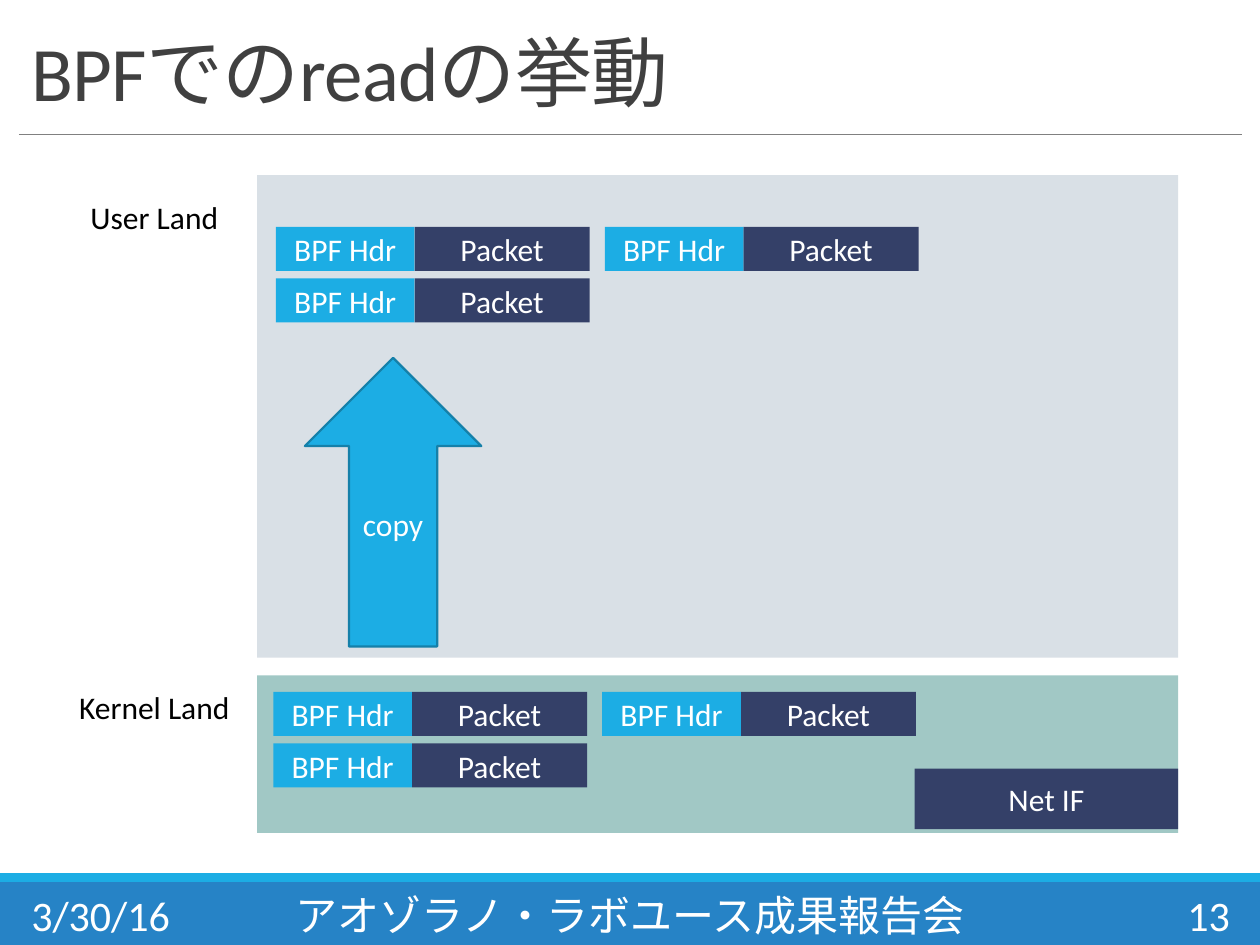
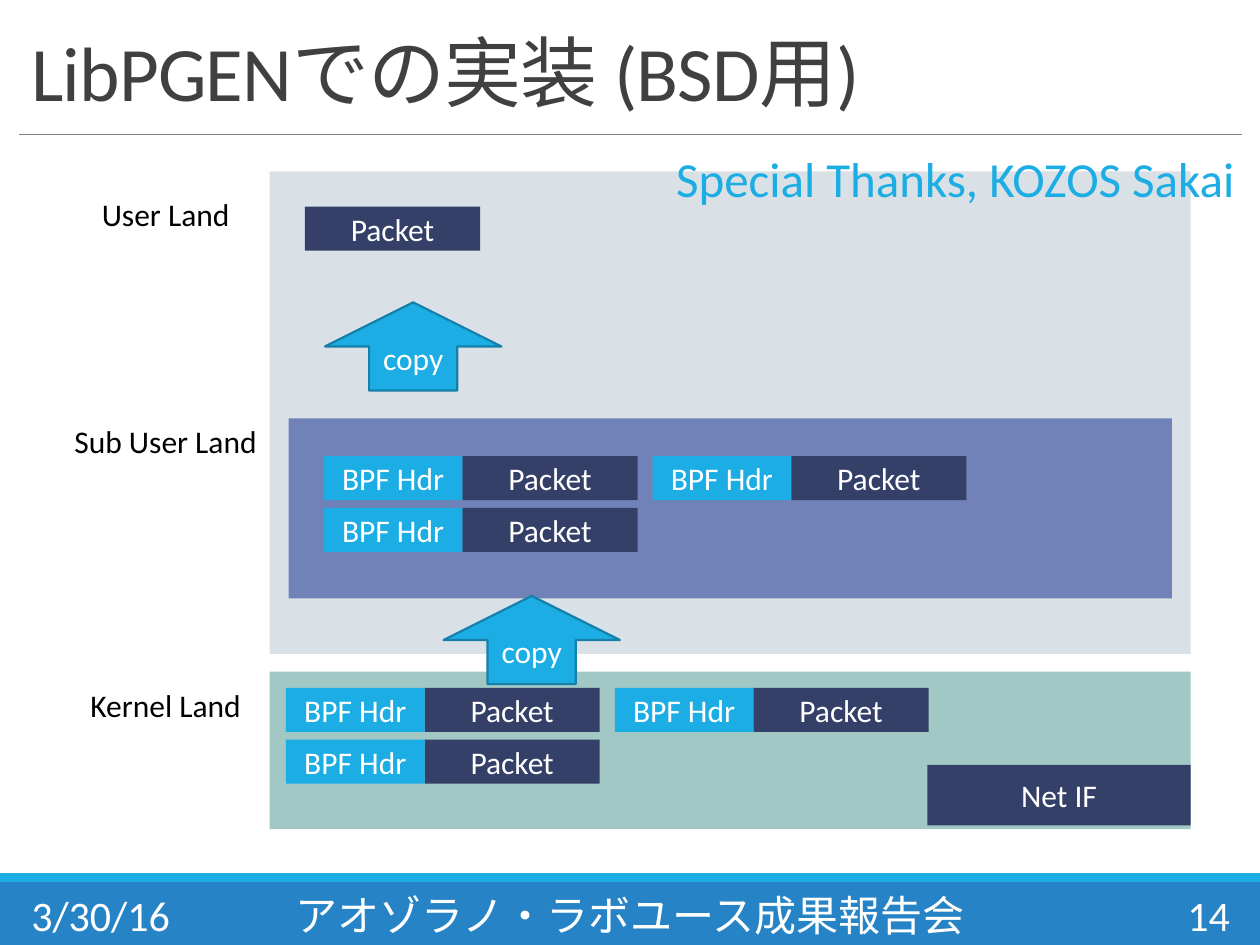
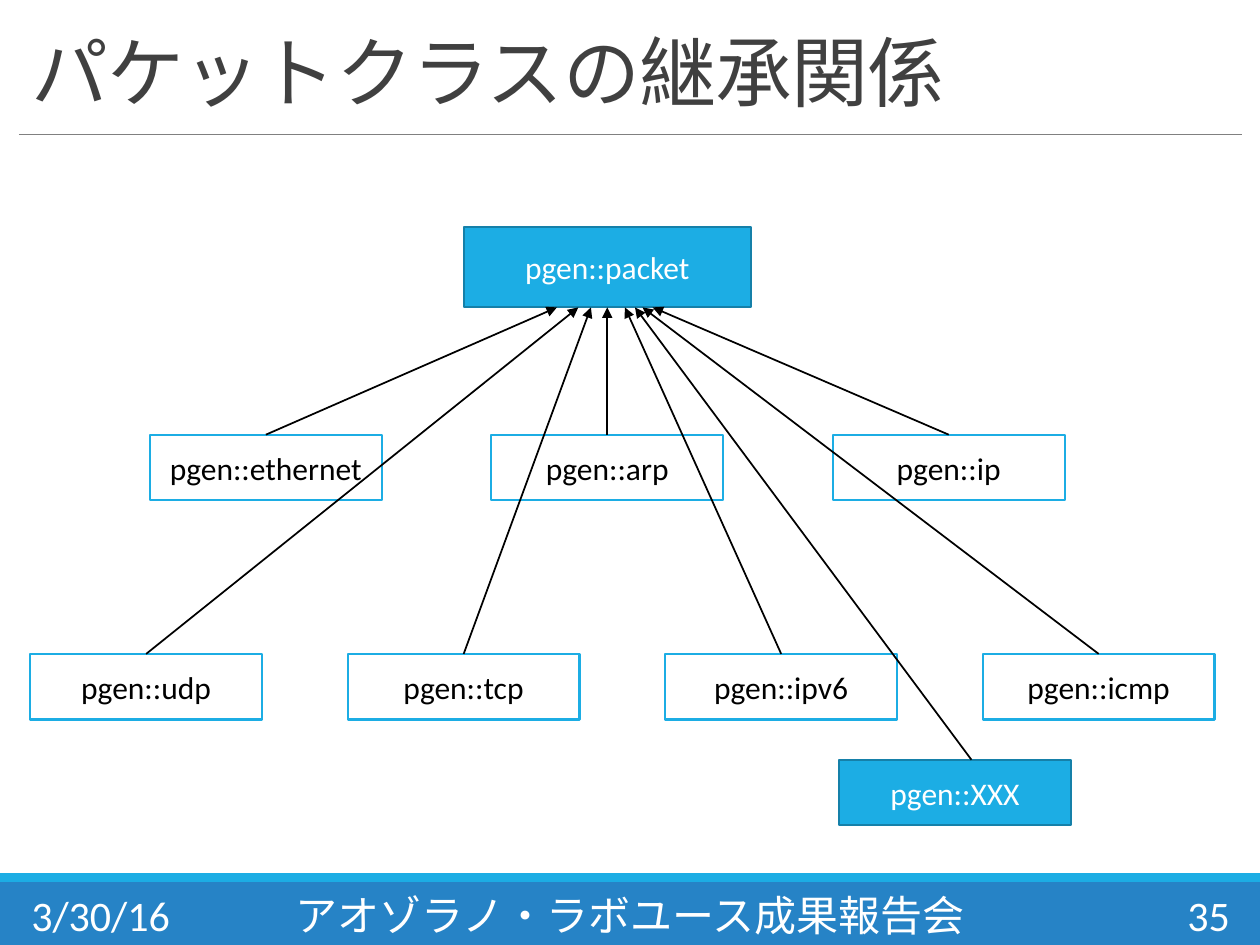
from dataclasses import dataclass

from lxml.etree import SubElement
from pptx import Presentation
from pptx.dml.color import RGBColor
from pptx.enum.shapes import MSO_CONNECTOR, MSO_SHAPE
from pptx.enum.text import MSO_ANCHOR as Anchor, PP_ALIGN as Align
from pptx.oxml.ns import qn
from pptx.presentation import Presentation as Deck
from pptx.shapes.autoshape import Shape
from pptx.slide import Slide
from pptx.util import Emu, Pt

EMU_PER_PX = 9144
FONT = "Calibri"
WHITE, BLACK, GRAY, TITLE_GRAY = "FFFFFF", "000000", "808080", "404040"
SKY, SKY_EDGE, BLUE, NAVY = "1CADE4", "1580A9", "2683C6", "344068"
USER_LAND, SUB_USER_LAND, KERNEL_LAND = "D9E0E6", "7182B8", "A1C8C5"

DATE = "3/30/16"
EVENT = "アオゾラノ・ラボユース成果報告会"
BLANK_LINE = 21.55  # points


@dataclass(frozen=True)
class Box:
    left: int
    top: int
    width: int
    height: int

    @property
    def bottom(self) -> int:
        return self.top + self.height

    def emu(self) -> tuple[Emu, ...]:
        return tuple(px(value) for value in (self.left, self.top, self.width, self.height))


@dataclass(frozen=True)
class Label:
    text: str
    lines_before: int = 0


@dataclass(frozen=True)
class PacketClass:
    name: str
    left: int
    top: int
    arrow_tip: int
    arrow_start: int = 92
    fill: str = WHITE
    edge: str = SKY
    color: str = BLACK

    @property
    def box(self) -> Box:
        return Box(self.left, self.top, 184, 52)


UPPER_ROW, LOWER_ROW = 345, 519
BASE_CLASS = Box(368, 180, 228, 64)
PACKET_CLASSES = [
    *(PacketClass(f"pgen::{name}", 119 + 271 * column, UPPER_ROW, tip)
      for column, (name, tip) in enumerate([("ethernet", 442), ("arp", 482), ("ip", 518)])),
    *(PacketClass(f"pgen::{name}", 24 + 252 * column, LOWER_ROW, tip)
      for column, (name, tip) in enumerate(
          [("udp", 459), ("tcp", 469), ("ipv6", 496), ("icmp", 510)])),
    PacketClass("pgen::XXX", 666, 603, 504, 105, SKY, SKY_EDGE, WHITE),
]


def px(value: int) -> Emu:
    return Emu(value * EMU_PER_PX)


def rgb(color: str) -> RGBColor:
    return RGBColor.from_string(color)


def write(paragraph, text: str, *, size: int = 18, color: str = WHITE,
          align: Align = Align.CENTER, line_spacing: float | None = None,
          space_before: float = 0, tracking: int | None = None) -> None:
    """Fill a paragraph; tracking is in hundredths of a point."""
    paragraph.alignment = align
    paragraph.line_spacing = line_spacing
    if space_before:
        paragraph.space_before = Pt(space_before)
    run = paragraph.add_run()
    run.text = text
    run.font.name = FONT
    run.font.size = Pt(size)
    run.font.color.rgb = rgb(color)
    if tracking is not None:
        run.font._element.set("spc", str(tracking))


def add_text(slide: Slide, box: Box, text: str, *, anchor: Anchor = Anchor.MIDDLE,
             wrap: bool = True, **text_format) -> None:
    frame = slide.shapes.add_textbox(*box.emu()).text_frame
    frame.word_wrap = wrap
    frame.vertical_anchor = anchor
    write(frame.paragraphs[0], text, **text_format)


def add_block(slide: Slide, box: Box, fill: str, text: str = "", *,
              kind: MSO_SHAPE = MSO_SHAPE.RECTANGLE, edge: str | None = None,
              **text_format) -> Shape:
    shape = slide.shapes.add_shape(kind, *box.emu())
    shape.shadow.inherit = False
    shape.fill.solid()
    shape.fill.fore_color.rgb = rgb(fill)
    if edge:
        shape.line.color.rgb = rgb(edge)
        shape.line.width = Pt(1.25)
    else:
        shape.line.fill.background()
    if text:
        shape.text_frame.vertical_anchor = Anchor.MIDDLE
        write(shape.text_frame.paragraphs[0], text, **text_format)
    return shape


def add_line(slide: Slide, start: tuple[int, int], end: tuple[int, int], color: str,
             width: float, arrow: bool = False) -> None:
    ends = [px(value) for value in (*start, *end)]
    connector = slide.shapes.add_connector(MSO_CONNECTOR.STRAIGHT, *ends)
    connector.line.color.rgb = rgb(color)
    connector.line.width = Pt(width)
    if arrow:
        SubElement(connector.line._get_or_add_ln(), qn("a:tailEnd"), type="triangle")
    SubElement(connector._element.spPr, qn("a:effectLst"))


def add_slide(presentation: Deck, title: str, number: int) -> Slide:
    """Add a blank slide with the common title, rule and footer."""
    slide = presentation.slides.add_slide(presentation.slide_layouts[6])
    add_block(slide, Box(0, 700, 1000, 50), BLUE)
    add_block(slide, Box(0, 693, 1000, 7), SKY)
    add_line(slide, (15, 107), (986, 107), GRAY, 0.5)
    add_text(slide, Box(15, 14, 971, 84), title, anchor=Anchor.BOTTOM, size=44,
             color=TITLE_GRAY, align=Align.LEFT, line_spacing=0.85, tracking=-50)
    for left, width, text, align in (
        (15, 136, DATE, Align.LEFT),
        (167, 666, EVENT, Align.CENTER),
        (846, 140, str(number), Align.RIGHT),
    ):
        add_text(slide, Box(left, 706, width, 40), text, size=24, align=align)
    return slide


def add_packet(slide: Slide, left: int, top: int) -> None:
    add_block(slide, Box(left, top, 139, 35), NAVY, "Packet")


def add_captured_packets(slide: Slide, left: int, top: int) -> None:
    """Draw three packets with BPF headers, two on the first row."""
    for column, row in ((1, 0), (0, 1), (0, 0)):
        x, y = left + 261 * column, top + 41 * row
        add_packet(slide, x + 110, y)
        add_block(slide, Box(x, y, 110, 35), SKY, "BPF Hdr")


def add_lands(slide: Slide, left: int, top: int) -> None:
    """Draw user land above kernel land with its packets and interface."""
    add_block(slide, Box(left, top + 397, 731, 125), KERNEL_LAND)
    add_block(slide, Box(left, top, 731, 383), USER_LAND)
    add_block(slide, Box(left + 522, top + 471, 209, 48), NAVY, "Net IF")
    add_captured_packets(slide, left + 13, top + 410)


def add_labels(slide: Slide, box: Box, labels: list[Label]) -> None:
    frame = slide.shapes.add_textbox(*box.emu()).text_frame
    frame.word_wrap = False
    for index, label in enumerate(labels):
        paragraph = frame.add_paragraph() if index else frame.paragraphs[0]
        write(paragraph, label.text, color=BLACK,
              space_before=label.lines_before * BLANK_LINE)


def add_copy_arrow(slide: Slide, left: int, top: int, height: int = 70) -> None:
    add_block(slide, Box(left, top, 140, height), SKY, "copy",
              kind=MSO_SHAPE.UP_ARROW, edge=SKY_EDGE)


def build_bpf_read(presentation: Deck) -> None:
    slide = add_slide(presentation, "BPFでのreadの挙動", 13)
    add_lands(slide, 204, 139)
    add_labels(slide, Box(52, 152, 141, 434),
               [Label("User Land"), Label("Kernel Land", 12)])
    add_copy_arrow(slide, 242, 284, 229)
    add_captured_packets(slide, 219, 180)


def build_libpgen(presentation: Deck) -> None:
    slide = add_slide(presentation, "LibPGENでの実装 (BSD用)", 14)
    add_lands(slide, 214, 136)
    add_block(slide, Box(229, 332, 701, 143), SUB_USER_LAND)
    add_labels(slide, Box(48, 150, 167, 434),
               [Label("User Land"), Label("Sub User Land", 5), Label("Kernel Land", 6)])
    add_captured_packets(slide, 257, 362)
    add_copy_arrow(slide, 258, 240)
    add_copy_arrow(slide, 352, 473)
    add_packet(slide, 242, 164)
    add_text(slide, Box(524, 113, 468, 57), "Special Thanks, KOZOS Sakai",
             anchor=Anchor.TOP, wrap=False, size=28, color=SKY)


def build_inheritance(presentation: Deck) -> None:
    slide = add_slide(presentation, "パケットクラスの継承関係", 35)
    add_block(slide, BASE_CLASS, SKY, "pgen::packet", edge=SKY_EDGE)
    for item in PACKET_CLASSES:
        add_block(slide, item.box, item.fill, item.name, edge=item.edge, color=item.color)
    for item in PACKET_CLASSES:
        add_line(slide, (item.left + item.arrow_start, item.top),
                 (item.arrow_tip, BASE_CLASS.bottom), BLACK, 1, arrow=True)


def main() -> None:
    presentation = Presentation()
    presentation.slide_width, presentation.slide_height = px(1000), px(750)
    build_bpf_read(presentation)
    build_libpgen(presentation)
    build_inheritance(presentation)
    presentation.save("out.pptx")


if __name__ == "__main__":
    main()
